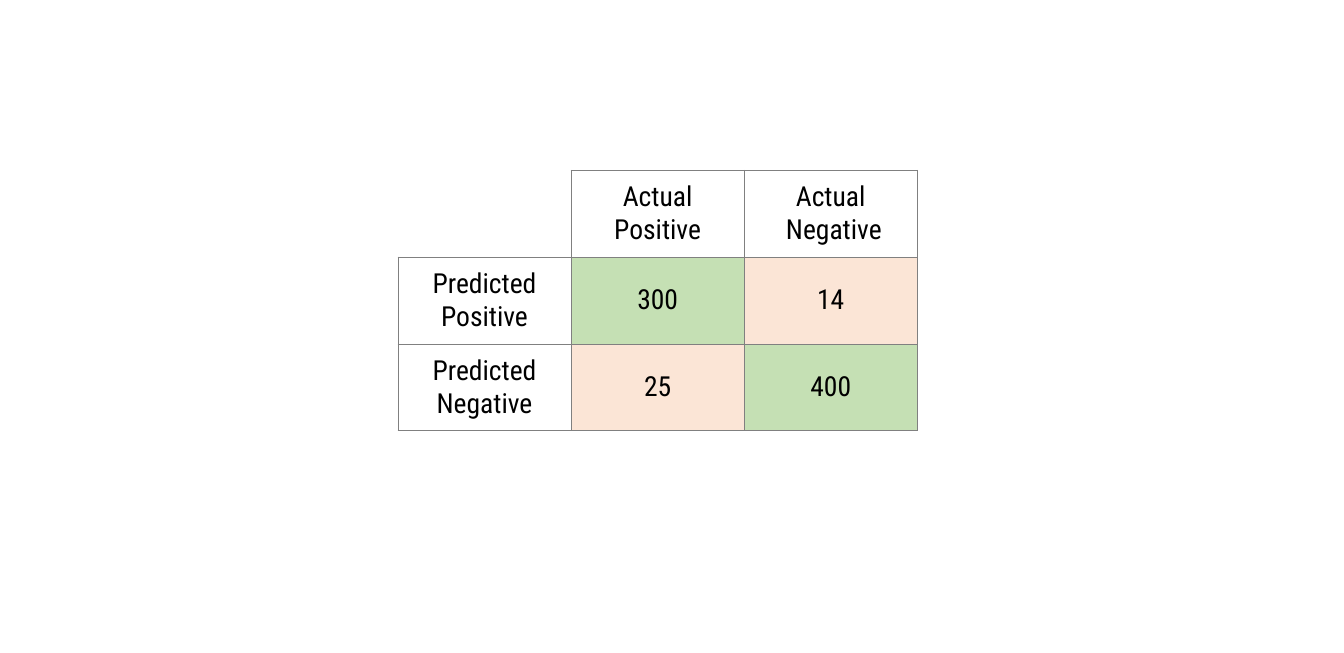
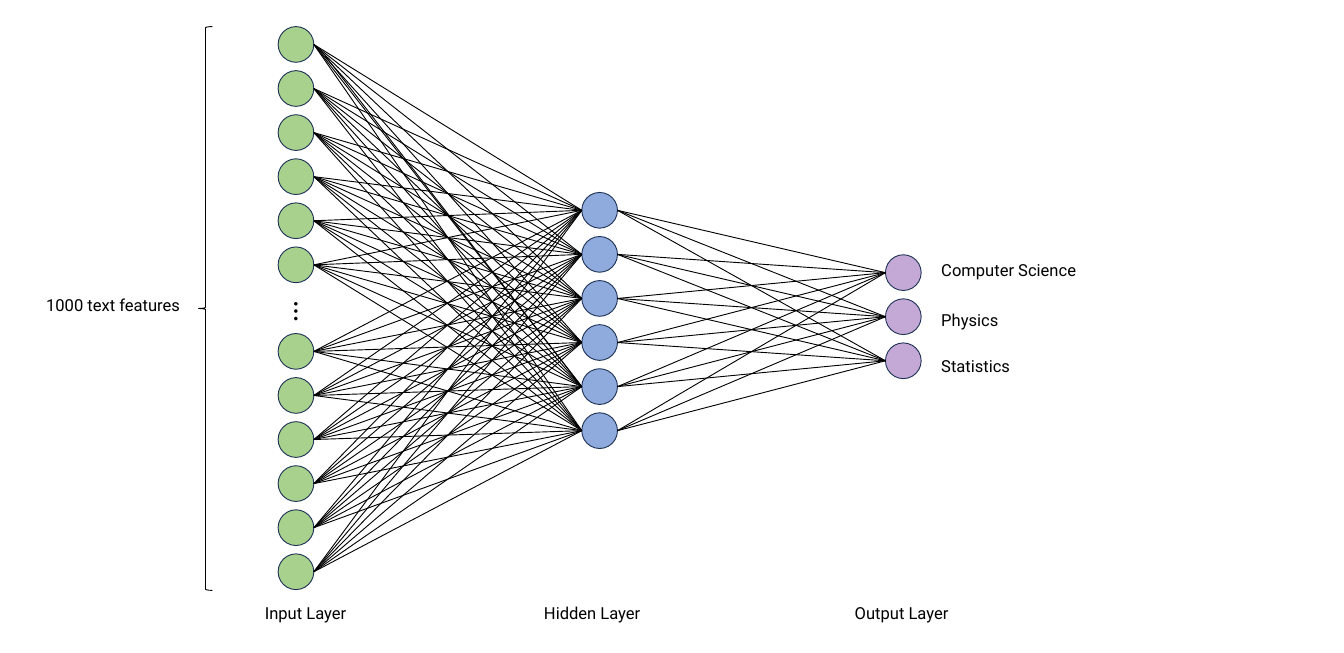
from dataclasses import dataclass
from itertools import product

import lxml.etree
import pptx
import pptx.dml.color
import pptx.enum.shapes
import pptx.enum.text
import pptx.oxml.ns
import pptx.util
from pptx.util import Cm, Pt

# Shared look
COLORS = {
    "text": "000000",
    "line": "000000",
    "border": "808080",
    "correct": "C5E0B4",
    "wrong": "FBE5D6",
    "outline": "1E3256",
    "input": "A9D18E",
    "hidden": "8FAADC",
    "output": "7030A0",
}
TABLE_FONT = "Roboto Condensed"
LABEL_FONT = "Roboto"
SYMBOL_FONT = "Calibri"
LINE_WIDTH = Pt(1)

# Network measures, in centimetres
NODE_SIZE = 1.37
NODE_PITCH = 1.69
FIRST_TOP = 1.02
BRACE_HEIGHT = 21.62
LAYER_LABEL_TOP = 23.01


@dataclass(frozen=True)
class Group:
    top: float
    count: int


@dataclass(frozen=True)
class Layer:
    name: str
    name_left: float
    left: float
    color: str
    groups: tuple[Group, ...]
    opacity: int = 100

    def tops(self) -> list[float]:
        return [group.top + NODE_PITCH * index
                for group in self.groups for index in range(group.count)]

    def centers(self) -> list[float]:
        return [top + NODE_SIZE / 2 for top in self.tops()]


@dataclass(frozen=True)
class Label:
    text: str
    left: float
    top: float
    width: float = 6.12
    size: int = 18
    font: str = LABEL_FONT
    vertical: bool = False


@dataclass(frozen=True)
class TableCell:
    text: str
    fill: str = ""


LAYERS = (
    Layer("Input Layer", 9.91, 10.67, "input", (Group(FIRST_TOP, 6), Group(12.79, 6))),
    Layer("Hidden Layer", 20.62, 22.32, "hidden", (Group(7.38, 6),)),
    Layer("Output Layer", 32.54, 33.97, "output", (Group(9.77, 3),), opacity=41),
)
LABELS = (
    Label("…", 10.67, 11.33, width=1.88, size=32, font=SYMBOL_FONT, vertical=True),
    Label("Computer Science", 35.86, 9.86),
    Label("Physics", 35.86, 11.76),
    Label("Statistics", 35.86, 13.51),
    Label("1000 text features", 1.52, 11.2),
)
MATRIX = (
    (TableCell(""), TableCell("Actual\vPositive"), TableCell("Actual\v Negative")),
    (TableCell("Predicted Positive"), TableCell("300", "correct"), TableCell("14", "wrong")),
    (TableCell("Predicted Negative"), TableCell("25", "wrong"), TableCell("400", "correct")),
)


def color(name: str) -> pptx.dml.color.RGBColor:
    return pptx.dml.color.RGBColor.from_string(COLORS[name])


def add_element(parent, tag: str, **attributes: str):
    return lxml.etree.SubElement(parent, pptx.oxml.ns.qn(tag), attributes)


def format_text(text_frame, font: str, size: int) -> None:
    for paragraph in text_frame.paragraphs:
        for run in paragraph.runs:
            run.font.name = font
            run.font.size = Pt(size)
            run.font.color.rgb = color("text")


def style_line(shape, name: str) -> None:
    shape.line.color.rgb = color(name)
    shape.line.width = LINE_WIDTH


# Confusion matrix
def set_border(cell, side: str, visible: bool) -> None:
    properties = cell._tc.get_or_add_tcPr()
    border = add_element(properties, f"a:ln{side}", w=str(LINE_WIDTH))
    if visible:
        fill = add_element(border, "a:solidFill")
        add_element(fill, "a:srgbClr", val=COLORS["border"])
    else:
        add_element(border, "a:noFill")


def fill_cell(cell, content: TableCell, is_corner: bool) -> None:
    for side in "LRTB":
        set_border(cell, side, visible=not is_corner or side in "RB")
    if content.fill:
        cell.fill.solid()
        cell.fill.fore_color.rgb = color(content.fill)
    else:
        cell.fill.background()
    cell.margin_left = cell.margin_right = Cm(0.61)
    cell.margin_top = cell.margin_bottom = Cm(0.2)
    cell.vertical_anchor = pptx.enum.text.MSO_ANCHOR.MIDDLE
    cell.text_frame.text = content.text
    cell.text_frame.paragraphs[0].alignment = pptx.enum.text.PP_ALIGN.CENTER
    format_text(cell.text_frame, TABLE_FONT, 30)


def draw_matrix(slide) -> None:
    size = len(MATRIX)
    column_width, row_height = Cm(6.64), Cm(3.33)
    table = slide.shapes.add_table(size, size, Cm(15.27), Cm(6.53),
                                   column_width * size, row_height * size).table
    table.first_row = False
    table.horz_banding = False
    for row, column in product(range(size), repeat=2):
        fill_cell(table.cell(row, column), MATRIX[row][column], row == column == 0)


# Neural network
def draw_label(slide, label: Label) -> None:
    shape = slide.shapes.add_textbox(Cm(label.left), Cm(label.top),
                                     Cm(label.width), Cm(1.03))
    text_frame = shape.text_frame
    text_frame.word_wrap = True
    text_frame.auto_size = pptx.enum.text.MSO_AUTO_SIZE.SHAPE_TO_FIT_TEXT
    text_frame.text = label.text
    format_text(text_frame, label.font, label.size)
    if label.vertical:
        shape.element.find(".//" + pptx.oxml.ns.qn("a:bodyPr")).set("vert", "vert")


def draw_nodes(slide, layer: Layer) -> None:
    for top in layer.tops():
        shape = slide.shapes.add_shape(pptx.enum.shapes.MSO_SHAPE.OVAL, Cm(layer.left),
                                       Cm(top), Cm(NODE_SIZE), Cm(NODE_SIZE))
        shape.shadow.inherit = False
        shape.fill.solid()
        shape.fill.fore_color.rgb = color(layer.color)
        if layer.opacity < 100:
            fill_color = shape.element.spPr.find(".//" + pptx.oxml.ns.qn("a:srgbClr"))
            add_element(fill_color, "a:alpha", val=str(layer.opacity * 1000))
        style_line(shape, "outline")


def draw_link(slide, start: tuple[float, float], end: tuple[float, float]) -> None:
    connector = slide.shapes.add_connector(
        pptx.enum.shapes.MSO_CONNECTOR.STRAIGHT, *map(Cm, start + end))
    style_line(connector, "line")
    add_element(connector.element.spPr, "a:effectLst")


def draw_links(slide, source: Layer, target: Layer) -> None:
    for start, end in product(source.centers(), target.centers()):
        draw_link(slide, (source.left + NODE_SIZE, start), (target.left, end))


def draw_brace(slide) -> None:
    shape = slide.shapes.add_shape(pptx.enum.shapes.MSO_SHAPE.LEFT_BRACE, Cm(7.62),
                                   Cm(FIRST_TOP), Cm(0.53), Cm(BRACE_HEIGHT))
    shape.shadow.inherit = False
    shape.fill.background()
    style_line(shape, "line")


def draw_network(slide) -> None:
    for layer in LAYERS:
        draw_nodes(slide, layer)
    for source, target in zip(LAYERS, LAYERS[1:]):
        draw_links(slide, source, target)
    # One more link leaves the lower right edge of the first input node
    hidden = LAYERS[1]
    draw_link(slide, (12.47, 2.13), (hidden.left, hidden.centers()[4]))
    draw_brace(slide)
    layer_labels = [Label(layer.name, layer.name_left, LAYER_LABEL_TOP) for layer in LAYERS]
    for label in [*LABELS, *layer_labels]:
        draw_label(slide, label)


def main() -> None:
    presentation = pptx.Presentation()
    presentation.slide_width = Cm(51.56)
    presentation.slide_height = Cm(25.04)
    blank_layout = presentation.slide_layouts[6]
    for draw in (draw_matrix, draw_network):
        draw(presentation.slides.add_slide(blank_layout))
    presentation.save("out.pptx")


if __name__ == "__main__":
    main()
